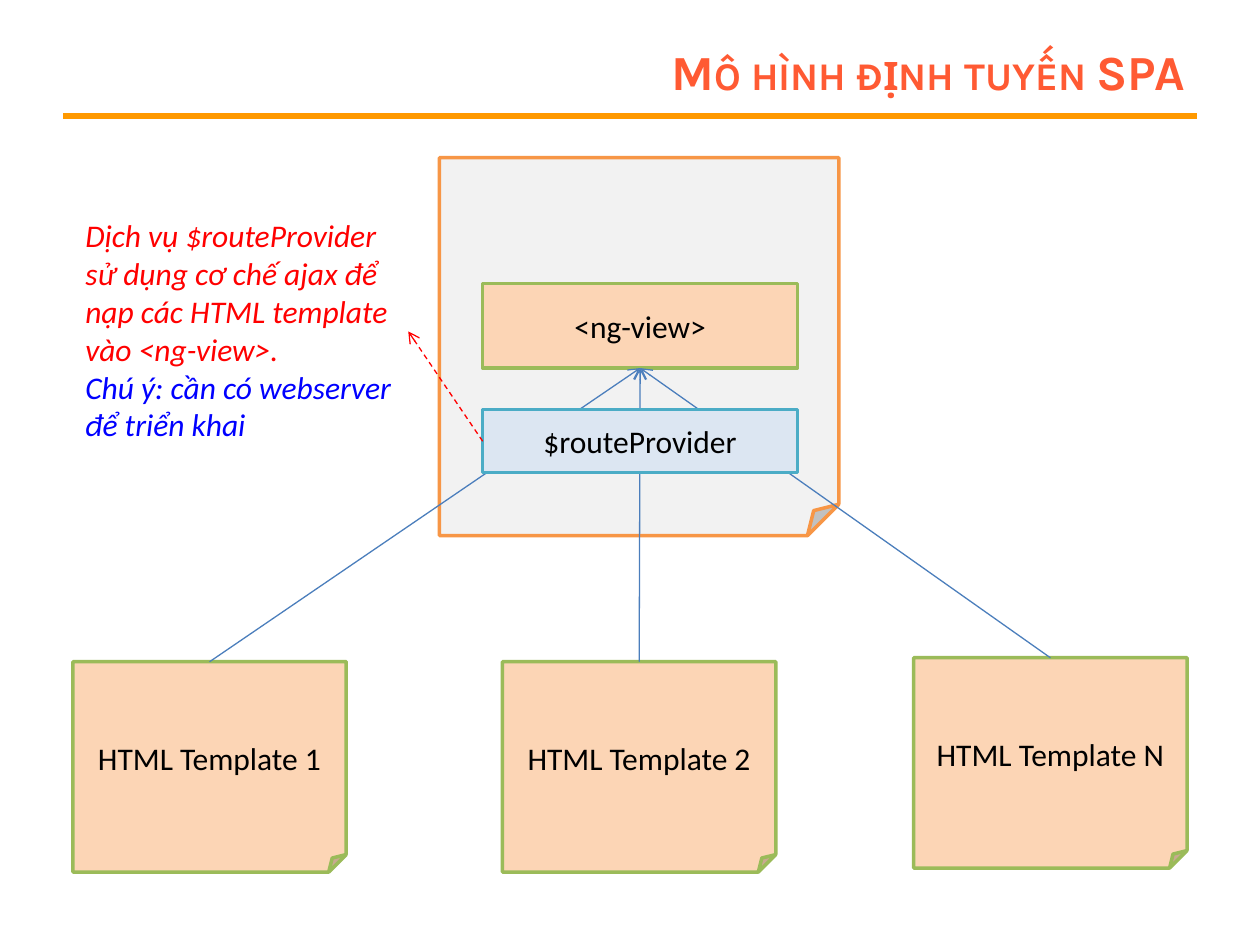
"""Build the SPA routing model slide."""
import dataclasses
from typing import Optional

import lxml.etree
import pptx
import pptx.dml.color
import pptx.enum.dml
import pptx.enum.shapes
import pptx.enum.text
import pptx.oxml.ns
import pptx.util

Cm = pptx.util.Cm
Pt = pptx.util.Pt
SHAPES = pptx.enum.shapes.MSO_SHAPE
ALIGN = pptx.enum.text.PP_ALIGN
ANCHOR = pptx.enum.text.MSO_ANCHOR
TOP, LEFT, BOTTOM = 0, 1, 2


@dataclasses.dataclass(frozen=True)
class Block:
    label: str
    left: float
    top: float
    width: float
    height: float
    fill: str
    line: str
    folded: bool = False


def color(value: str) -> pptx.dml.color.RGBColor:
    return pptx.dml.color.RGBColor.from_string(value)


def format_text(para, size: float, font: str, ink: str, bold: bool = False, italic: bool = False) -> None:
    for span in para.runs:
        span.font.size = Pt(size)
        span.font.name = font
        span.font.color.rgb = color(ink)
        span.font.bold = bold
        span.font.italic = italic


def draw_block(page, block: Block):
    kind = SHAPES.FOLDED_CORNER if block.folded else SHAPES.RECTANGLE
    box = page.shapes.add_shape(kind, Cm(block.left), Cm(block.top), Cm(block.width), Cm(block.height))
    if block.folded:
        guides = box._element.xpath(".//a:prstGeom/a:avLst")[0]
        lxml.etree.SubElement(guides, pptx.oxml.ns.qn("a:gd"), name="adj", fmla="val 8300")
    box.shadow.inherit = False
    box.fill.solid()
    box.fill.fore_color.rgb = color(block.fill)
    box.line.color.rgb = color(block.line)
    box.line.width = Pt(2)
    if block.label:
        frame = box.text_frame
        frame.text = block.label
        frame.vertical_anchor = ANCHOR.MIDDLE
        frame.paragraphs[0].alignment = ALIGN.CENTER
        format_text(frame.paragraphs[0], 18, "Calibri", "000000")
    return box


def draw_line(page, start: tuple[float, float], end: tuple[float, float], ink: str,
              width: float, dash: Optional[int] = None, arrow: bool = False):
    points = [Cm(value) for value in (*start, *end)]
    line = page.shapes.add_connector(pptx.enum.shapes.MSO_CONNECTOR.STRAIGHT, *points)
    line.line.color.rgb = color(ink)
    line.line.width = Pt(width)
    if dash is not None:
        line.line.dash_style = dash
    if arrow:
        outline = line.line._get_or_add_ln()
        lxml.etree.SubElement(outline, pptx.oxml.ns.qn("a:tailEnd"), type="arrow")
    lxml.etree.SubElement(line._element.spPr, pptx.oxml.ns.qn("a:effectLst"))
    return line


def draw_title(page, text: str) -> None:
    title = page.shapes.title
    title.left, title.top, title.width, title.height = Cm(5.72), Cm(0.76), Cm(18.42), Cm(1.35)
    frame = title.text_frame
    frame.text = text
    frame.auto_size = pptx.enum.text.MSO_AUTO_SIZE.NONE
    frame.vertical_anchor = ANCHOR.MIDDLE
    para = frame.paragraphs[0]
    para.alignment = ALIGN.RIGHT
    format_text(para, 28, "Karla", "FF5A33", bold=True)
    para.runs[0].font._element.set("cap", "small")


def draw_note(page, lines: list[tuple[str, str]]) -> None:
    box = page.shapes.add_textbox(Cm(1.47), Cm(4.24), Cm(6.76), Cm(4.88))
    frame = box.text_frame
    frame.word_wrap = False
    frame.auto_size = pptx.enum.text.MSO_AUTO_SIZE.SHAPE_TO_FIT_TEXT
    frame.text = "\n".join(text for text, ink in lines)
    for para, (text, ink) in zip(frame.paragraphs, lines):
        format_text(para, 18, "Calibri", ink, italic=True)


def main() -> None:
    deck = pptx.Presentation()
    deck.slide_width, deck.slide_height = Cm(25.4), Cm(19.05)
    page = deck.slides.add_slide(deck.slide_layouts.get_by_name("Title Only"))
    draw_line(page, (1.27, 2.34), (24.13, 2.34), "FF9900", 3)
    draw_title(page, "Mô hình định tuyến SPA")

    peach, green = "FCD5B5", "9BBB59"
    draw_block(page, Block("", 8.86, 3.18, 8.05, 7.62, "F2F2F2", "F79646", folded=True))
    view = draw_block(page, Block("<ng-view>", 9.73, 5.72, 6.35, 1.7, peach, green))
    places = {"1": (1.47, 13.34), "2": (10.13, 13.34), "N": (18.42, 13.26)}
    templates = [
        draw_block(page, Block(f"HTML Template {name}", left, top, 5.51, 4.24, peach, green, folded=True))
        for name, (left, top) in places.items()
    ]
    for template in templates:
        link = draw_line(page, (0, 0), (1, 1), "4B7EBC", 0.75, arrow=True)
        link.begin_connect(template, TOP)
        link.end_connect(view, BOTTOM)
    provider = draw_block(page, Block("$routeProvider", 9.73, 8.26, 6.35, 1.27, "DCE6F2", "4BACC6"))

    red, blue = "FF0000", "0000FF"
    draw_note(page, [
        ("Dịch vụ $routeProvider", red),
        ("sử dụng cơ chế ajax để", red),
        ("nạp các HTML template", red),
        ("vào <ng-view>.", red),
        ("Chú ý: cần có webserver", blue),
        ("để triển khai", blue),
    ])
    pointer = draw_line(page, (9.73, 8.89), (8.23, 6.68), red, 0.75,
                        dash=pptx.enum.dml.MSO_LINE.DASH, arrow=True)
    pointer.begin_connect(provider, LEFT)
    deck.save("out.pptx")


if __name__ == "__main__":
    main()
